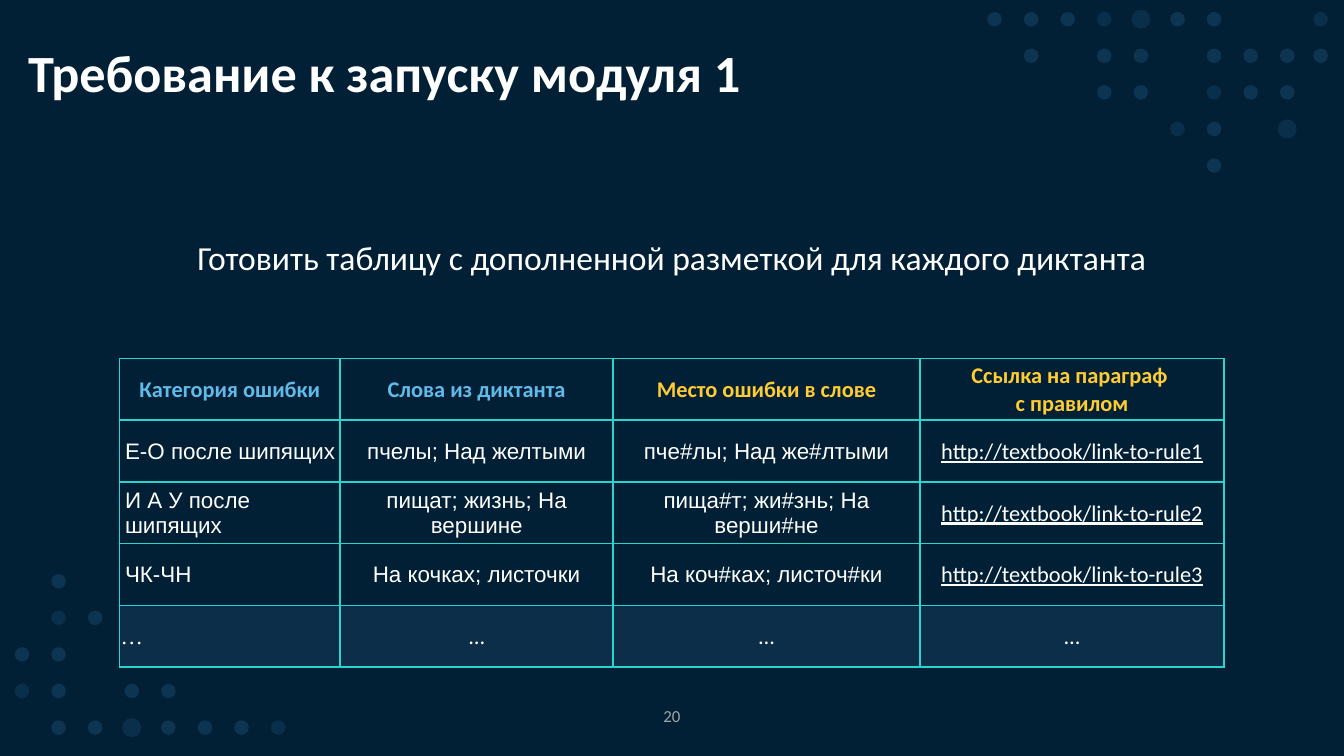
import copy
from dataclasses import dataclass

import pptx
import pptx.dml.color
import pptx.enum.shapes
import pptx.enum.text
import pptx.oxml
import pptx.oxml.ns
import pptx.util

Pt = pptx.util.Pt
Align = pptx.enum.text.PP_ALIGN
Anchor = pptx.enum.text.MSO_ANCHOR


@dataclass(frozen=True)
class Theme:
    back: str = "012036"
    dot: str = "5CB5FF"
    white: str = "FFFFFF"
    blue: str = "62BAE9"
    gold: str = "FFCC32"
    line: str = "29D6CD"
    band: str = "0D2E49"
    grey: str = "A5A5A5"
    font: str = "Calibri"
    sans: str = "Arial"
    serif: str = "Times New Roman"
    title: int = 28
    lead: int = 18
    cell: int = 12
    note: int = 9


THEME = Theme()
STEP = 19.6
DOTS = {"o": (7.8, 14), "x": (7.8, 10), "X": (10.2, 10)}
FIELDS = [
    (532.8, 10.3, ["oooxXoo", ".o.oo.ooo", "...oo.xoo", ".....xo.X", "......o"]),
    (707.5, 10.3, ["x", "o"]),
    (11.8, 311.4, [".o", ".xo", "oo", "xo.oo", ".ooXooox"]),
]
WIDTHS = [118.3, 146.2, 164.4, 163]
HEIGHT = 33.1
ROWS = [
    ["Категория ошибки", "Слова из диктанта", "Место ошибки в слове",
     "Ссылка на параграф \vс правилом"],
    ["Е-О после шипящих", "пчелы; Над желтыми", "пче#лы; Над же#лтыми",
     "http://textbook/link-to-rule1"],
    ["И А У после шипящих", "пищат; жизнь; На вершине", "пища#т; жи#знь; На верши#не",
     "http://textbook/link-to-rule2"],
    ["ЧК-ЧН", "На кочках; листочки", "На коч#ках; листоч#ки",
     "http://textbook/link-to-rule3"],
    ["…"] * 4,
]


def tint(name):
    return pptx.dml.color.RGBColor.from_string(name)


def write(frame, text, size, color, align=Align.CENTER, face=THEME.font, bold=False, under=False):
    frame.text = text
    frame.word_wrap = True
    para = frame.paragraphs[0]
    para.alignment = align
    for run in para.runs:
        font = run.font
        font.name, font.size, font.bold = face, Pt(size), bold
        font.underline = under
        font.color.rgb = tint(color)
    for gap in para._p.findall(pptx.oxml.ns.qn("a:br")):
        gap.append(copy.deepcopy(para.runs[0]._r.rPr))


def add_head(slide, text):
    head = slide.shapes.title
    head.left, head.top, head.width, head.height = Pt(7.9), Pt(18), Pt(607), Pt(41)
    write(head.text_frame, text, THEME.title, THEME.white, Align.LEFT, bold=True)
    head.text_frame.vertical_anchor = Anchor.MIDDLE


def add_text(slide, text, box, size, color, anchor=Anchor.TOP):
    frame = slide.shapes.add_textbox(*map(Pt, box)).text_frame
    write(frame, text, size, color)
    frame.vertical_anchor = anchor


def add_dot(slide, x, y, size, alpha):
    dot = slide.shapes.add_shape(
        pptx.enum.shapes.MSO_SHAPE.OVAL,
        Pt(x - size / 2), Pt(y - size / 2), Pt(size), Pt(size))
    dot.shadow.inherit = False
    dot.line.fill.background()
    dot.fill.solid()
    dot.fill.fore_color.rgb = tint(THEME.dot)
    shade = dot._element.spPr.find(".//" + pptx.oxml.ns.qn("a:srgbClr"))
    shade.append(pptx.oxml.parse_xml(
        f'<a:alpha {pptx.oxml.ns.nsdecls("a")} val="{alpha * 1000}"/>'))


def add_field(slide, left, top, rows):
    for r, row in enumerate(rows):
        for c, mark in enumerate(row):
            if mark in DOTS:
                add_dot(slide, left + c * STEP, top + r * STEP, *DOTS[mark])


def frame_cell(cell):
    for side in ("lnL", "lnR", "lnT", "lnB"):
        cell._tc.get_or_add_tcPr().append(pptx.oxml.parse_xml(
            f'<a:{side} {pptx.oxml.ns.nsdecls("a")} w="12700"><a:solidFill>'
            f'<a:srgbClr val="{THEME.line}"/></a:solidFill></a:{side}>'))


def fill_cell(cell, text, r, c):
    first, last = r == 0, r == len(ROWS) - 1
    body = not first and not last
    link = body and c == 3
    color = (THEME.blue if c < 2 else THEME.gold) if first else THEME.white
    face = THEME.sans if body and not link else THEME.font
    if last and c == 0:
        face = THEME.serif
    align = Align.LEFT if c == 0 and not first else Align.CENTER
    write(cell.text_frame, text, THEME.cell, color, align, face, first, link)
    cell.vertical_anchor = Anchor.MIDDLE
    cell.margin_left = Pt(3 if body and c == 0 else 0.7)
    cell.margin_right = cell.margin_top = Pt(0.7)
    cell.margin_bottom = Pt(0)
    frame_cell(cell)
    if last:
        cell.fill.solid()
        cell.fill.fore_color.rgb = tint(THEME.band)
    else:
        cell.fill.background()


def add_grid(slide):
    grid = slide.shapes.add_table(
        len(ROWS), len(WIDTHS), Pt(64), Pt(192),
        Pt(sum(WIDTHS)), Pt(HEIGHT * len(ROWS))).table
    grid.first_row = grid.horz_banding = False
    for col, width in zip(grid.columns, WIDTHS):
        col.width = Pt(width)
    for r, row in enumerate(ROWS):
        grid.rows[r].height = Pt(HEIGHT)
        for c, text in enumerate(row):
            fill_cell(grid.cell(r, c), text, r, c)


def main():
    deck = pptx.Presentation()
    deck.slide_width, deck.slide_height = Pt(720), Pt(405)
    slide = deck.slides.add_slide(deck.slide_layouts[5])
    slide.background.fill.solid()
    slide.background.fill.fore_color.rgb = tint(THEME.back)
    for field in FIELDS:
        add_field(slide, *field)
    add_head(slide, "Требование к запуску модуля 1")
    add_text(slide, "Готовить таблицу с дополненной разметкой для каждого диктанта",
             (64, 123.1, 592, 29), THEME.lead, THEME.white)
    add_grid(slide)
    add_text(slide, "20", (324, 374.4, 72, 18), THEME.note, THEME.grey, Anchor.BOTTOM)
    deck.save("out.pptx")


if __name__ == "__main__":
    main()
